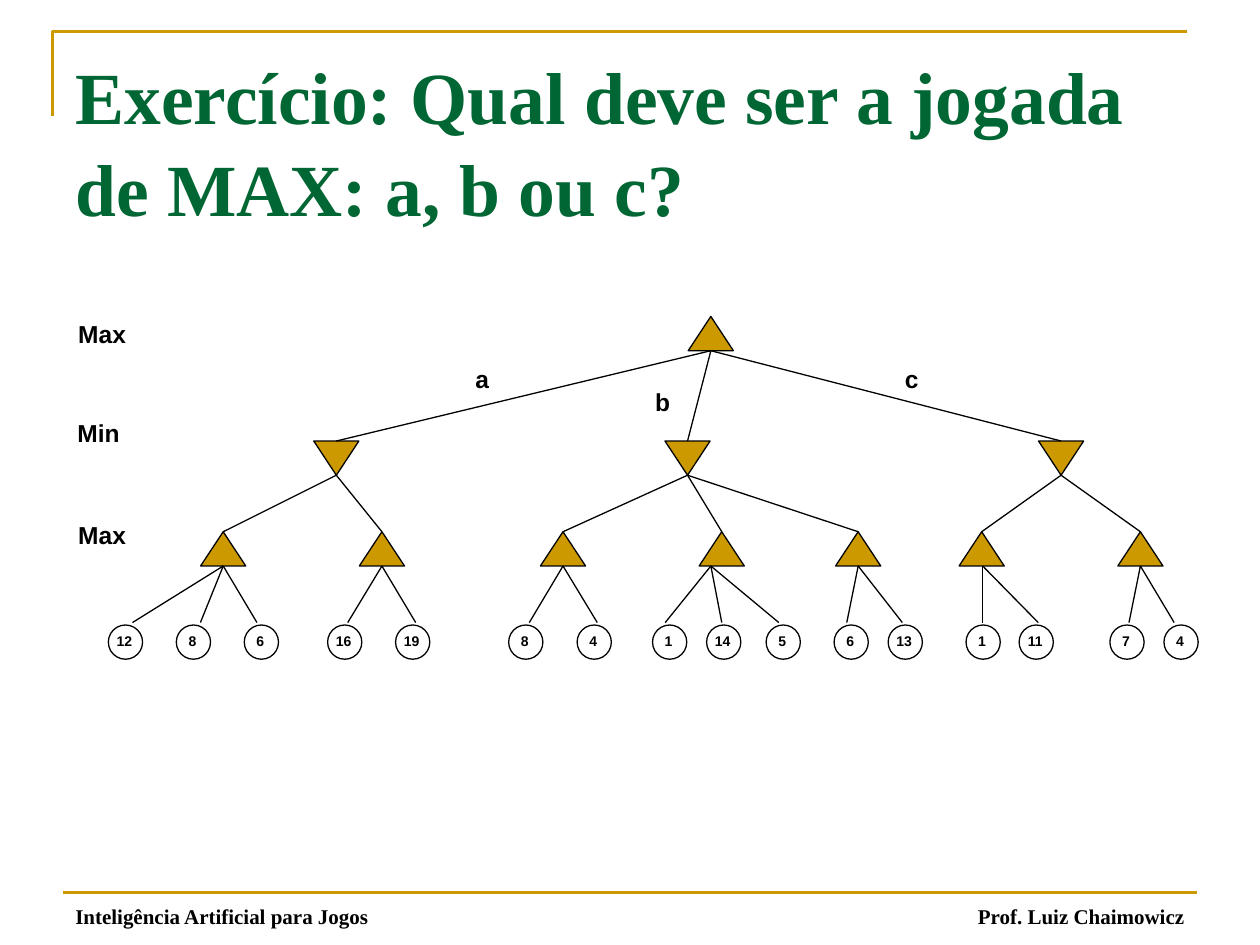
import pptx
import pptx.util
import pptx.dml.color
import pptx.enum.shapes
import pptx.enum.text
import pptx.oxml.ns
import lxml.etree

Cm = pptx.util.Cm
Pt = pptx.util.Pt
MSO_SHAPE = pptx.enum.shapes.MSO_SHAPE
ALIGN = pptx.enum.text.PP_ALIGN
ANCHOR = pptx.enum.text.MSO_ANCHOR

GOLD = pptx.dml.color.RGBColor(0xCC, 0x99, 0x00)
GREEN = pptx.dml.color.RGBColor(0x00, 0x66, 0x33)
BLACK = pptx.dml.color.RGBColor(0x00, 0x00, 0x00)

TITLE_FONT = {"name": "Times New Roman", "size": Pt(42), "bold": True}
FOOTER_FONT = {"name": "Times New Roman", "size": Pt(12), "bold": True}
LABEL_FONT = {"name": "Arial", "size": Pt(14), "bold": True}
LEAF_FONT = {"name": "Arial", "size": Pt(8), "bold": True}

NODE_W, NODE_H, LEAF_D = 0.91, 0.69, 0.69
ROOT_Y, MIN_Y, MAX_Y, LEAF_Y, LEAF_LINE_Y = 0.08, 2.59, 4.42, 6.3, 6.25
ROOT_X = 13.06

# Each Max node is (centre, line start, leaves); each leaf is (value, centre, line end).
TREE = [
    (5.51, [
        (3.23, 3.23, [(12, 1.26, 1.4), (8, 2.63, 2.77), (6, 4.0, 3.91)]),
        (6.43, 6.43, [(16, 5.68, 5.74), (19, 7.05, 7.11)]),
    ]),
    (12.59, [
        (10.08, 10.08, [(8, 9.33, 9.4), (4, 10.71, 10.77)]),
        (13.28, 13.06, [(1, 12.23, 12.14), (14, 13.32, 13.28), (5, 14.52, 14.43)]),
        (16.03, 16.03, [(6, 15.89, 15.8), (13, 16.98, 16.92)]),
    ]),
    (20.12, [
        (18.52, 18.54, [(1, 18.55, 18.54), (11, 19.62, 19.66)]),
        (21.72, 21.72, [(7, 21.45, 21.49), (4, 22.54, 22.4)]),
    ]),
]

LABELS = [
    ("Max", 0.79, 0.42, 1.47), ("Min", 0.72, 2.43, 1.35), ("Max", 0.79, 4.48, 1.47),
    ("a", 8.45, 1.33, 0.79), ("b", 12.09, 1.79, 0.81), ("c", 17.11, 1.33, 0.79),
]


def set_attrs(obj, values):
    """Set every attribute named in a dict."""
    for name, value in values.items():
        setattr(obj, name, value)


def write_text(sp, text, font, color, align, anchor, wrap=True):
    """Put one formatted paragraph into a shape and return it."""
    tf = sp.text_frame
    set_attrs(tf, {"word_wrap": wrap, "vertical_anchor": anchor,
                   "auto_size": pptx.enum.text.MSO_AUTO_SIZE.NONE})
    p = tf.paragraphs[0]
    p.alignment = align
    r = p.add_run()
    r.text = text
    set_attrs(r.font, font)
    r.font.color.rgb = color
    return p


def add_line(shapes, x1, y1, x2, y2, color=BLACK, width=0.75):
    """Draw a straight line without a shadow; lengths are in centimetres."""
    ln = shapes.add_connector(pptx.enum.shapes.MSO_CONNECTOR.STRAIGHT,
                              Cm(x1), Cm(y1), Cm(x2), Cm(y2))
    ln.line.color.rgb = color
    ln.line.width = Pt(width)
    lxml.etree.SubElement(ln._element.spPr, pptx.oxml.ns.qn("a:effectLst"))


def add_node(shapes, kind, cx, top, w, h, fill=None, rotation=0):
    """Draw an outlined tree node centred on cx."""
    sp = shapes.add_shape(kind, Cm(cx - w / 2), Cm(top), Cm(w), Cm(h))
    sp.shadow.inherit = False
    sp.rotation = rotation
    if fill is None:
        sp.fill.background()
    else:
        sp.fill.solid()
        sp.fill.fore_color.rgb = fill
    sp.line.color.rgb = BLACK
    sp.line.width = Pt(0.75)


def add_label(shapes, text, cx, cy, w, h, font):
    """Place unwrapped text centred on a point."""
    sp = shapes.add_textbox(Cm(cx - w / 2), Cm(cy - h / 2), Cm(w), Cm(h))
    write_text(sp, text, font, BLACK, ALIGN.CENTER, ANCHOR.TOP, wrap=False)


def add_frame(s, left, top, w, h):
    """Draw the gold corner rule above the title."""
    fb = s.shapes.build_freeform(Cm(left), Cm(top + h))
    fb.add_line_segments([(Cm(left), Cm(top)), (Cm(left + w), Cm(top))], close=False)
    sp = fb.convert_to_shape()
    sp.shadow.inherit = False
    sp.fill.background()
    sp.line.color.rgb = GOLD
    sp.line.width = Pt(1.5)


def add_title(s, left, top, w, h):
    """Place and format the title placeholder."""
    sp = s.shapes.title
    set_attrs(sp, {"left": Cm(left), "top": Cm(top), "width": Cm(w), "height": Cm(h)})
    p = write_text(sp, "Exercício: Qual deve ser a jogada de MAX: a, b ou c?",
                   TITLE_FONT, GREEN, ALIGN.LEFT, ANCHOR.MIDDLE)
    p.line_spacing = 1.04


def add_footer(s, left, top, w, h):
    """Draw the footer rule with the course on the left and the teacher on the right."""
    add_line(s.shapes, left, top, left + w, top, GOLD, 1.5)
    for text, x, width, align in [
        ("Inteligência Artificial para Jogos", left, 7.19, ALIGN.LEFT),
        ("Prof. Luiz Chaimowicz", left + w - 5.92, 5.92, ALIGN.RIGHT),
    ]:
        sp = s.shapes.add_textbox(Cm(x), Cm(top + h - 0.64), Cm(width), Cm(0.64))
        write_text(sp, text, FOOTER_FONT, BLACK, align, ANCHOR.BOTTOM)


def add_tree(s, left, top):
    """Draw the minimax tree from its top left corner."""
    shapes = s.shapes.add_group_shape().shapes
    triangle = MSO_SHAPE.ISOSCELES_TRIANGLE

    def edge(x1, y1, x2, y2):
        """Draw a branch from a parent to a child."""
        add_line(shapes, left + x1, top + y1, left + x2, top + y2)

    def node(x, y, rotation=0):
        """Draw a Max node, or a Min node when turned over."""
        add_node(shapes, triangle, left + x, top + y, NODE_W, NODE_H, GOLD, rotation)

    node(ROOT_X, ROOT_Y)
    for min_x, max_nodes in TREE:
        node(min_x, MIN_Y, 180)
        edge(ROOT_X, ROOT_Y + NODE_H, min_x, MIN_Y)
        for max_x, start_x, leaves in max_nodes:
            node(max_x, MAX_Y)
            edge(min_x, MIN_Y + NODE_H, max_x, MAX_Y)
            for value, leaf_x, end_x in leaves:
                add_node(shapes, MSO_SHAPE.OVAL, left + leaf_x, top + LEAF_Y, LEAF_D, LEAF_D)
                add_label(shapes, str(value), left + leaf_x - 0.02, top + LEAF_Y + 0.32,
                          0.81 if value > 9 else 0.66, 0.58, LEAF_FONT)
                edge(start_x, MAX_Y + NODE_H, end_x, LEAF_LINE_Y)
    for text, x, y, w in LABELS:
        add_label(shapes, text, left + x, top + y, w, 0.84, LABEL_FONT)


def main():
    """Build and save the slide."""
    prs = pptx.Presentation()
    prs.slide_width, prs.slide_height = Cm(25.4), Cm(19.05)
    s = prs.slides.add_slide(prs.slide_layouts[5])
    add_frame(s, 1.06, 0.64, 22.86, 1.7)
    add_title(s, 1.27, 0.76, 22.86, 4.09)
    add_footer(s, 1.27, 17.99, 22.86, 0.85)
    add_tree(s, 1.27, 6.3)
    prs.save("out.pptx")


if __name__ == "__main__":
    main()
